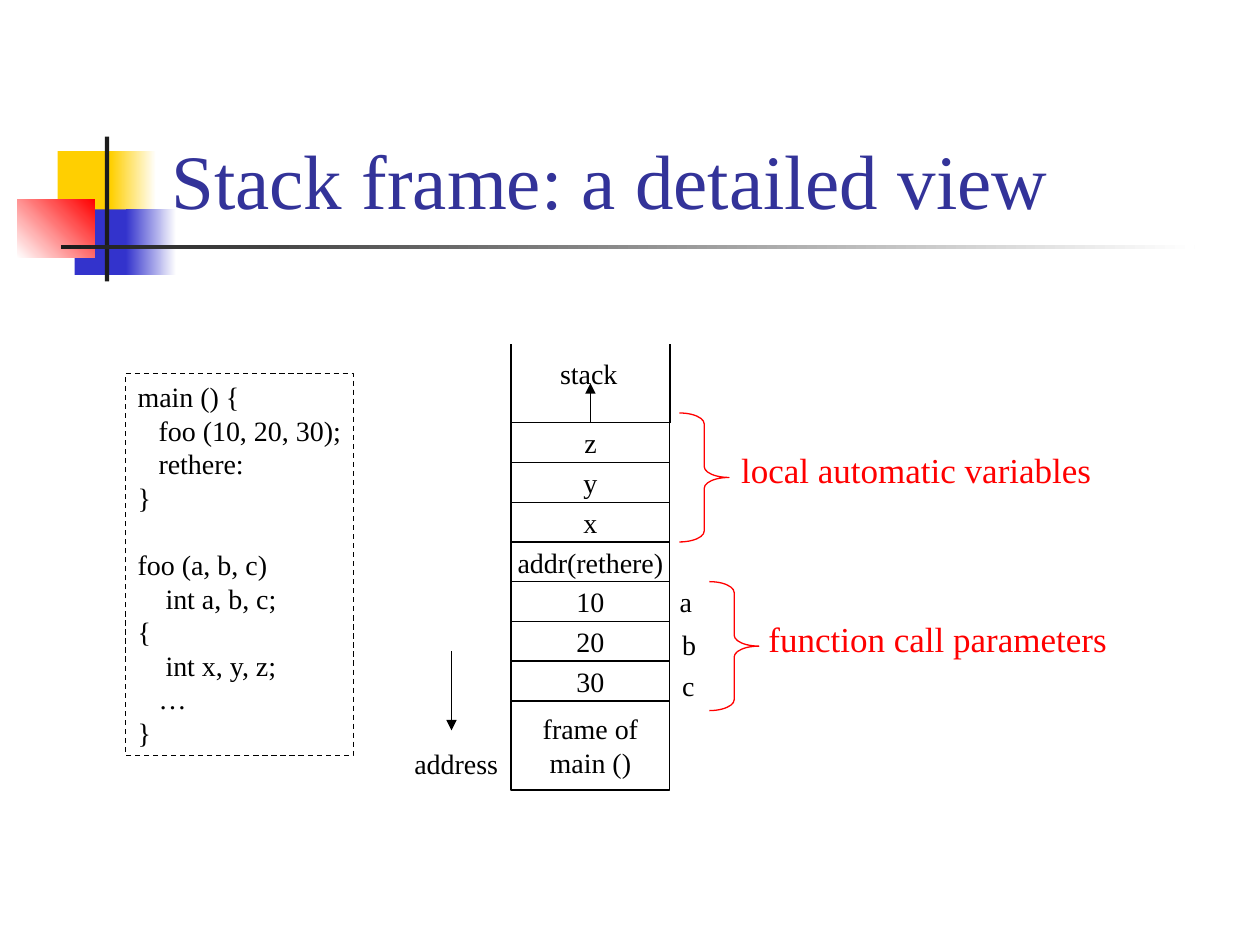
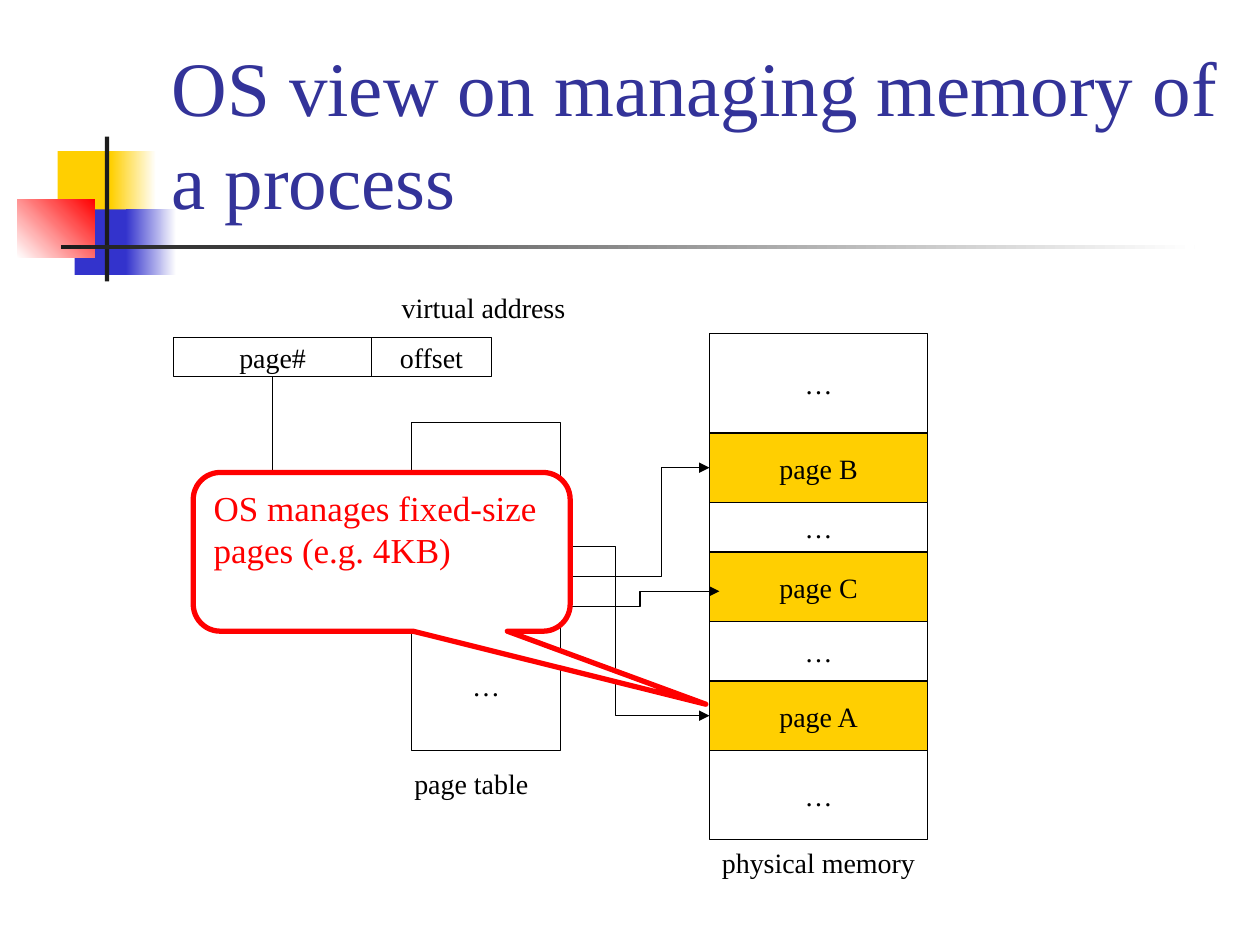
import pptx
import pptx.dml.color
import pptx.enum.dml
import pptx.enum.shapes
import pptx.enum.text
import pptx.oxml.ns
import pptx.util
from lxml import etree

Pt = pptx.util.Pt
RGBColor = pptx.dml.color.RGBColor
SHAPE = pptx.enum.shapes.MSO_SHAPE
CONNECTOR = pptx.enum.shapes.MSO_CONNECTOR
ALIGN = pptx.enum.text.PP_ALIGN
ANCHOR = pptx.enum.text.MSO_ANCHOR
qn = pptx.oxml.ns.qn

FONT = "Times New Roman"
BLACK = RGBColor(0x00, 0x00, 0x00)
WHITE = RGBColor(0xFF, 0xFF, 0xFF)
RED = RGBColor(0xFF, 0x00, 0x00)
YELLOW = RGBColor(0xFF, 0xCF, 0x01)
BLUE = RGBColor(0x33, 0x33, 0xCC)
CHARCOAL = RGBColor(0x1C, 0x1C, 0x1C)
TITLE_BLUE = RGBColor(0x33, 0x33, 0x99)

HAIRLINE = 0.75

# left, top, width, height, gradient start (or plain fill), gradient end, angle
ORNAMENTS = [
    (33, 86.4, 34.6, 37.4, YELLOW, None, 0),
    (63.3, 86.4, 25.9, 37.4, YELLOW, WHITE, 0),
    (42.6, 119.7, 33.1, 37.4, BLUE, None, 0),
    (72, 119.7, 28.8, 37.4, BLUE, WHITE, 0),
    (9.9, 113.8, 44.3, 33.5, WHITE, RED, 45),
    (59.9, 78, 2.5, 82.8, CHARCOAL, None, 0),
    (34.7, 140.1, 648, 2.5, CHARCOAL, WHITE, 0),
]


def add_box(slide, bounds, text="", kind=None, fill=None, line=None, weight=HAIRLINE,
            size=16, color=BLACK, align=ALIGN.LEFT, anchor=ANCHOR.TOP, wrap=True):
    """Add a text box, or a preset shape when kind is given."""
    lengths = [Pt(length) for length in bounds]
    if kind is None:
        box = slide.shapes.add_textbox(*lengths)
    else:
        box = slide.shapes.add_shape(kind, *lengths)
        box.shadow.inherit = False
        if fill is None:
            box.fill.background()
        else:
            box.fill.solid()
            box.fill.fore_color.rgb = fill
        if line is None:
            box.line.fill.background()
        else:
            box.line.color.rgb = line
            box.line.width = Pt(weight)
    if text:
        frame = box.text_frame
        frame.text = text
        frame.word_wrap = wrap
        frame.vertical_anchor = anchor
        for paragraph in frame.paragraphs:
            paragraph.alignment = align
            paragraph.font.name = FONT
            paragraph.font.size = Pt(size)
            paragraph.font.color.rgb = color
    return box


def add_line(slide, start, end, kind=CONNECTOR.STRAIGHT, arrow=True, bend=None):
    """Add a connector; bend is where an elbow turns, as a share of its width."""
    points = [Pt(length) for length in (*start, *end)]
    connector = slide.shapes.add_connector(kind, *points)
    connector.line.color.rgb = BLACK
    connector.line.width = Pt(HAIRLINE)
    properties = connector._element.spPr
    if arrow:
        etree.SubElement(properties.find(qn("a:ln")), qn("a:tailEnd"), type="triangle")
    if bend is not None:
        guides = properties.find(qn("a:prstGeom")).get_or_add_avLst()
        etree.SubElement(guides, qn("a:gd"), name="adj1", fmla=f"val {round(bend * 100000)}")
    etree.SubElement(properties, qn("a:effectLst"))
    return connector


CELL = dict(kind=SHAPE.RECTANGLE, line=BLACK, align=ALIGN.CENTER,
            anchor=ANCHOR.MIDDLE, wrap=False)

prs = pptx.Presentation()
prs.slide_width = Pt(720)
prs.slide_height = Pt(540)

slides = []
for title in ("Stack frame: a detailed view", "OS view on managing memory of a process"):
    slide = prs.slides.add_slide(prs.slide_layouts[6])
    for *bounds, color, fade, angle in ORNAMENTS:
        ornament = add_box(slide, bounds, kind=SHAPE.RECTANGLE, fill=color)
        if fade is not None:
            ornament.fill.gradient()
            ornament.fill.gradient_angle = angle
            for stop, stop_color in zip(ornament.fill.gradient_stops, (color, fade)):
                stop.color.rgb = stop_color
    add_box(slide, (90.9, 16.6, 614, 115.2), title, size=44, color=TITLE_BLUE,
            anchor=ANCHOR.BOTTOM)
    slides.append(slide)
stack_slide, paging_slide = slides

# Stack frame: the program
CODE = """main () {
   foo (10, 20, 30);
   rethere:
}
foo (a, b, c)
    int a, b, c;
{
    int x, y, z;
   …
}"""
program = add_box(stack_slide, (71.6, 213.4, 130.4, 218.2), CODE,
                  kind=SHAPE.RECTANGLE, line=BLACK, wrap=False)
program.line.dash_style = pptx.enum.dml.MSO_LINE.DASH
program.text_frame.paragraphs[4].space_before = Pt(19.2)

# Stack frame: the stack
STACK_LEFT, STACK_TOP, STACK_WIDTH, ROW = 292, 241.6, 90.8, 22.7
stack_rows = ["z", "y", "x", "addr(rethere)", "10", "20", "30"]
stack_cells = [
    add_box(stack_slide, (STACK_LEFT, STACK_TOP + ROW * index, STACK_WIDTH, ROW), row, **CELL)
    for index, row in enumerate(stack_rows)
]
add_box(stack_slide, (STACK_LEFT, STACK_TOP + ROW * len(stack_rows), STACK_WIDTH, 51),
        "frame of\nmain ()", **CELL)
for wall in (STACK_LEFT, STACK_LEFT + STACK_WIDTH):
    add_line(stack_slide, (wall, STACK_TOP), (wall, 196.4), arrow=False)
middle = STACK_LEFT + STACK_WIDTH / 2
growth = add_line(stack_slide, (middle, STACK_TOP), (middle, 219))
growth.begin_connect(stack_cells[0], 0)
add_line(stack_slide, (258, 372), (258, 417.4))

# Stack frame: labels and braces
for text, left, top, width in [
    ("stack", 313, 200.3, 52),
    ("address", 229.7, 423.2, 68),
    ("a", 381.3, 330.7, 26),
    ("b", 382.7, 355.2, 26),
    ("c", 382.7, 378.2, 26),
]:
    add_box(stack_slide, (left, top, width, 26.4), text)
for text, brace_left, brace_top, left, top, width in [
    ("function call parameters", 405.4, 332.4, 432, 349.2, 216),
    ("local automatic variables", 388.3, 236, 416.4, 252.9, 222),
]:
    brace = add_box(stack_slide, (brace_left, brace_top, 28.3, 73.7),
                    kind=SHAPE.RIGHT_BRACE, line=RED)
    brace.adjustments[0] = 0.22
    add_box(stack_slide, (left, top, width, 31.5), text, size=20, color=RED)

# Paging: the virtual address
add_box(paging_slide, (99.1, 192.8, 113.3, 22.5), "page#", **CELL)
add_box(paging_slide, (212.4, 192.8, 68.3, 22.5), "offset", **CELL)

# Paging: page table and physical memory, each a column of cells
TABLE_LEFT, TABLE_TOP, TABLE_WIDTH = 235.2, 241.6, 85
MEMORY_LEFT, MEMORY_TOP, MEMORY_WIDTH = 405.4, 190.8, 124.7
table_rows = [("…", 62.4), ("", 17), ("", 17), ("", 17), ("…", 73.7)]
memory_rows = [("…", 56.7), ("page B", 39.7), ("…", 28.3), ("page C", 39.7),
               ("…", 34), ("page A", 39.7), ("…", 51)]
for left, top, width, rows in [
    (TABLE_LEFT, TABLE_TOP, TABLE_WIDTH, table_rows),
    (MEMORY_LEFT, MEMORY_TOP, MEMORY_WIDTH, memory_rows),
]:
    for text, height in rows:
        fill = YELLOW if text.startswith("page") else None
        add_box(paging_slide, (left, top, width, height), text, fill=fill, **CELL)
        top += height

for text, left, top, width in [
    ("virtual address", 222.5, 162.4, 114),
    ("page table", 229.7, 434.2, 86),
    ("physical memory", 405.4, 479.7, 132),
]:
    add_box(paging_slide, (left, top, width, 26.4), text)

# Paging: each table entry points to its page
TABLE_RIGHT = TABLE_LEFT + TABLE_WIDTH
for entry_middle, page_edge, page_middle, bend in [
    (312.5, MEMORY_LEFT, 409, 0.37),
    (329.5, MEMORY_LEFT, 267.3, 0.68),
    (346.5, 411.1, 337.9, 0.5),
]:
    add_line(paging_slide, (TABLE_RIGHT, entry_middle), (page_edge, page_middle),
             kind=CONNECTOR.ELBOW, bend=bend)

# The lookup runs down from page# and turns right: a mirrored elbow on its side
lookup = add_line(paging_slide, (252.6, 232.7), (138.4, 312.2), kind=CONNECTOR.ELBOW)
lookup_properties = lookup._element.spPr
lookup_properties.find(qn("a:xfrm")).set("rot", "16200000")
lookup_properties.find(qn("a:prstGeom")).set("prst", "bentConnector2")

callout = add_box(paging_slide, (110.4, 270, 215.4, 90.7),
                  "OS manages fixed-size pages (e.g. 4KB)",
                  kind=SHAPE.ROUNDED_RECTANGULAR_CALLOUT, fill=WHITE, line=RED,
                  weight=3, size=20, color=RED)
for index, share in enumerate((0.86, 0.96, 0.17)):
    callout.adjustments[index] = share

prs.save("out.pptx")
